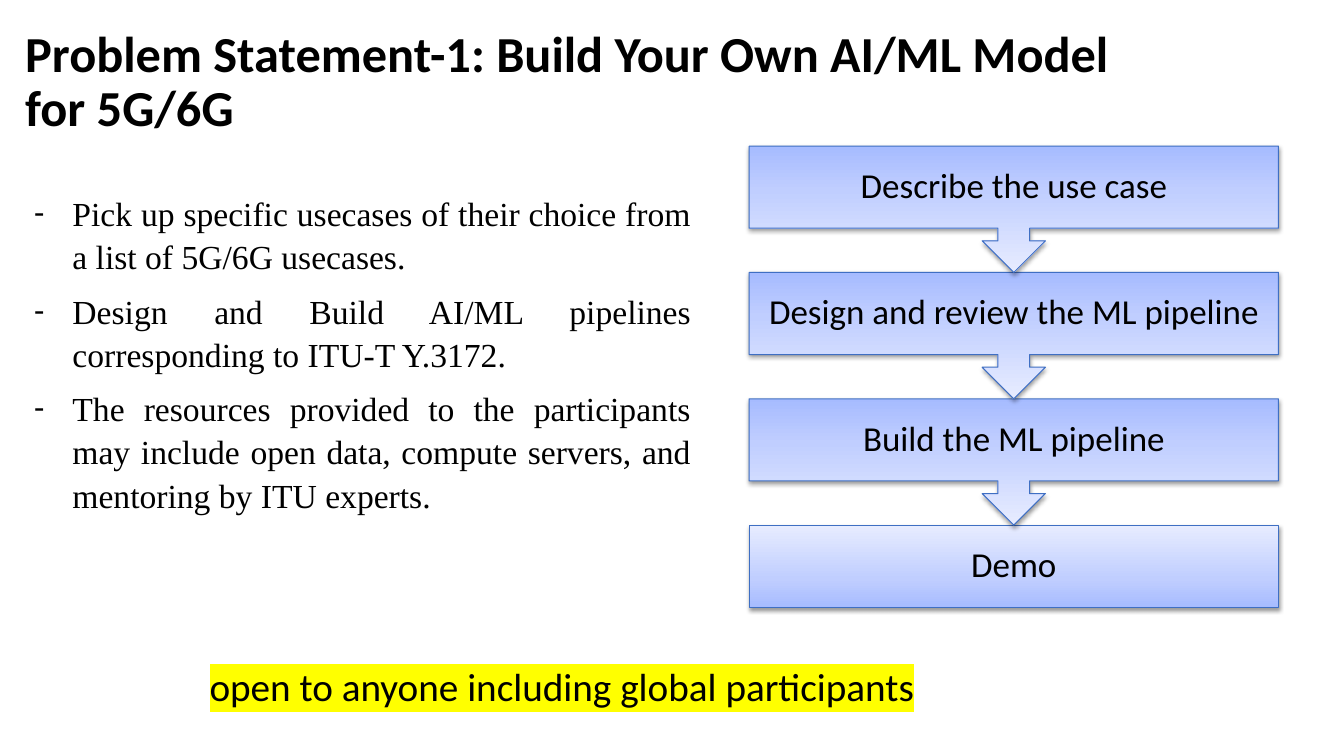
from lxml.etree import SubElement
from pptx import Presentation
from pptx.dml.color import RGBColor
from pptx.enum.shapes import MSO_SHAPE
from pptx.enum.text import MSO_ANCHOR, MSO_AUTO_SIZE, PP_ALIGN
from pptx.oxml import parse_xml
from pptx.oxml.ns import nsdecls, qn
from pptx.util import Inches, Pt

TITLE = "Problem Statement-1: Build Your Own AI/ML Model\vfor 5G/6G"
POINTS = [
    "Pick up specific usecases of their choice from a list of 5G/6G usecases.",
    "Design and Build AI/ML pipelines corresponding to ITU-T Y.3172.",
    "The resources provided to the participants may include open data, "
    "compute servers, and mentoring by ITU experts.",
]
STEPS = [
    "Describe the use case",
    "Design and review the ML pipeline",
    "Build the ML pipeline",
    "Demo",
]
NOTE = "open to anyone including global participants"

BLACK = RGBColor(0, 0, 0)
EDGE = RGBColor(0x3F, 0x6F, 0xC3)
YELLOW = RGBColor(0xFF, 0xFF, 0)
SHADES = [
    (0, RGBColor(0xA6, 0xBB, 0xFF)),
    (35, RGBColor(0xC0, 0xCE, 0xFF)),
    (100, RGBColor(0xE7, 0xEC, 0xFF)),
]
SANS, SERIF = "Calibri", "Times New Roman"

# Flow chart: one row per step, in inches
LEFT, TOP, LAST, WIDE = 7.43, 1.45, 5.21, 5.25
PITCH = (LAST - TOP) / (len(STEPS) - 1)
BOX = 0.82


def put(item, **values):
    for name, value in values.items():
        setattr(item, name, value)


def write(para, text, size, face=SANS, bold=False, **form):
    put(para, **form)
    run = para.add_run()
    run.text = text
    put(run.font, size=Pt(size), name=face, bold=bold)
    run.font.color.rgb = BLACK
    return run


def add_box(slide, *place):
    frame = slide.shapes.add_textbox(*map(Inches, place)).text_frame
    put(frame, word_wrap=True, auto_size=MSO_AUTO_SIZE.SHAPE_TO_FIT_TEXT)
    return frame


def add_dash(para):
    props = para._p.get_or_add_pPr()
    props.set("marL", str(Inches(0.38)))
    props.set("indent", str(-Inches(0.38)))
    SubElement(props, qn("a:buFont")).set("typeface", SANS)
    SubElement(props, qn("a:buChar")).set("char", "-")


def shade(shape, angle):
    """Give a three-stop gradient and a soft shadow below."""
    stops = "".join(
        f'<a:gs pos="{at * 1000}"><a:srgbClr val="{color}"/></a:gs>'
        for at, color in SHADES)
    fill = parse_xml(
        f'<a:gradFill {nsdecls("a")} rotWithShape="1"><a:gsLst>{stops}'
        f'</a:gsLst><a:lin ang="{angle * 60000}" scaled="0"/></a:gradFill>')
    glow = parse_xml(
        f'<a:effectLst {nsdecls("a")}><a:outerShdw blurRad="{Pt(3.1)}" '
        f'dist="{Pt(1.6)}" dir="5400000" rotWithShape="0">'
        '<a:srgbClr val="000000"><a:alpha val="38000"/></a:srgbClr>'
        '</a:outerShdw></a:effectLst>')
    shape.line.color.rgb = EDGE
    shape.line.width = Pt(0.75)
    props = shape._element.spPr
    props.find(qn("a:prstGeom")).addnext(fill)
    props.append(glow)


def add_step(slide, row, text):
    final = row == len(STEPS) - 1
    kind = MSO_SHAPE.RECTANGLE if final else MSO_SHAPE.DOWN_ARROW_CALLOUT
    high = BOX if final else PITCH
    shape = slide.shapes.add_shape(
        kind, *map(Inches, (LEFT, TOP + row * PITCH, WIDE, high)))
    shade(shape, 270 if final else 90)
    frame = shape.text_frame
    put(frame, word_wrap=True, vertical_anchor=MSO_ANCHOR.MIDDLE)
    write(frame.paragraphs[0], text, 25,
          alignment=PP_ALIGN.CENTER, line_spacing=0.9)


def main():
    deck = Presentation()
    put(deck, slide_width=Inches(13.33), slide_height=Inches(7.5))
    slide = deck.slides.add_slide(deck.slide_layouts[5])

    title = slide.shapes.title
    put(title, left=Inches(0.15), top=Inches(0.09),
        width=Inches(13.01), height=Inches(1.47))
    frame = title.text_frame
    put(frame, word_wrap=True, vertical_anchor=MSO_ANCHOR.MIDDLE,
        auto_size=MSO_AUTO_SIZE.NONE)
    para = frame.paragraphs[0]
    put(para, text=TITLE, alignment=PP_ALIGN.LEFT, line_spacing=0.9)
    for run in para.runs:
        put(run.font, size=Pt(36), name=SANS, bold=True)
        run.font.color.rgb = BLACK

    para = add_box(slide, 1.98, 6.52, 8.62, 0.57).paragraphs[0]
    run = write(para, NOTE, 28)
    mark = parse_xml(f'<a:highlight {nsdecls("a")}>'
                     f'<a:srgbClr val="{YELLOW}"/></a:highlight>')
    run.font._element.find(qn("a:solidFill")).addnext(mark)

    for row, text in reversed(list(enumerate(STEPS))):
        add_step(slide, row, text)

    frame = add_box(slide, 0.24, 1.84, 6.71, 3.33)
    for row, text in enumerate(POINTS):
        para = frame.add_paragraph() if row else frame.paragraphs[0]
        add_dash(para)
        write(para, text, 24, SERIF, alignment=PP_ALIGN.JUSTIFY,
              line_spacing=1.07, space_after=Pt(8))

    deck.save("out.pptx")


if __name__ == "__main__":
    main()
